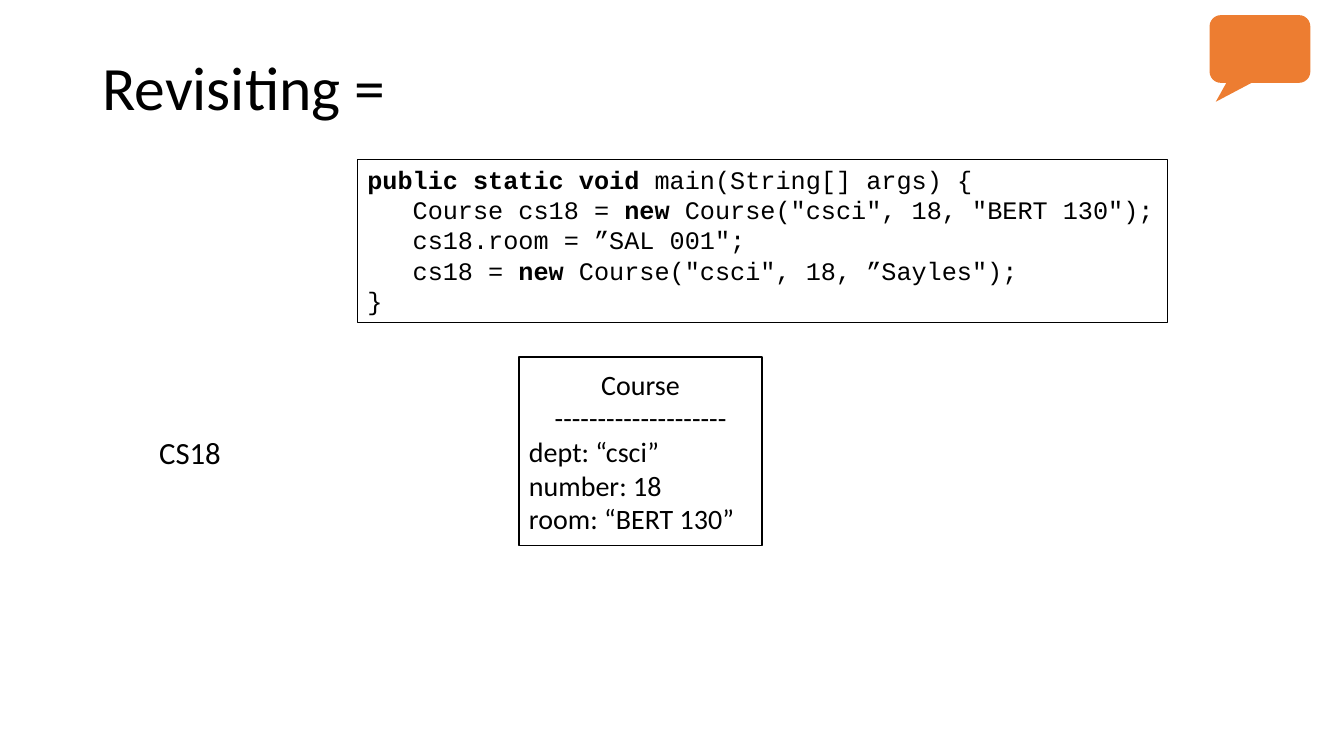
"""Builds a slide on reassigning an object variable in Java."""
from dataclasses import dataclass

from pptx import Presentation
from pptx.dml.color import RGBColor
from pptx.enum.shapes import MSO_SHAPE as Shape
from pptx.enum.text import MSO_ANCHOR as Anchor, PP_ALIGN as Align
from pptx.util import Pt


@dataclass(frozen=True)
class Theme:
    """Colours, fonts and type sizes of the slide."""
    ink: RGBColor = RGBColor(0, 0, 0)
    paper: RGBColor = RGBColor(255, 255, 255)
    accent: RGBColor = RGBColor(0xED, 0x7D, 0x31)
    body_font: str = "Calibri"
    code_font: str = "Courier New"
    title_size: int = 44
    variable_size: int = 22
    object_size: int = 20
    code_size: int = 18


class SlideBuilder:
    """Draws styled elements on one slide."""

    def __init__(self, slide, theme):
        self.slide = slide
        self.theme = theme

    def style(self, paragraph, size, font, align=Align.LEFT):
        """Sets the type and alignment of a paragraph."""
        paragraph.alignment = align
        paragraph.font.size = Pt(size)
        paragraph.font.name = font
        paragraph.font.color.rgb = self.theme.ink

    def label(self, text, box, size, anchor=Anchor.TOP, wrap=True):
        """Adds a single-line text box."""
        frame = self.slide.shapes.add_textbox(*map(Pt, box)).text_frame
        frame.word_wrap = wrap
        frame.vertical_anchor = anchor
        frame.text = text
        self.style(frame.paragraphs[0], size, self.theme.body_font)
        return frame

    def shape(self, kind, box, fill=None, line=None):
        """Adds a preset shape with an optional fill and outline width."""
        shape = self.slide.shapes.add_shape(kind, *map(Pt, box))
        shape.shadow.inherit = False
        if fill is None:
            shape.fill.background()
        else:
            shape.fill.solid()
            shape.fill.fore_color.rgb = fill
        if line is None:
            shape.line.fill.background()
        else:
            shape.line.color.rgb = self.theme.ink
            shape.line.width = Pt(line)
        return shape

    def code(self, lines, box):
        """Adds a code listing from (indent, [(text, bold), ...]) lines."""
        frame = self.shape(Shape.RECTANGLE, box, line=0.75).text_frame
        frame.word_wrap = True
        frame.vertical_anchor = Anchor.TOP
        for number, (indent, pieces) in enumerate(lines):
            paragraph = frame.add_paragraph() if number else frame.paragraphs[0]
            self.style(paragraph, self.theme.code_size, self.theme.code_font)
            properties = paragraph._p.get_or_add_pPr()
            properties.set("marL", str(Pt(indent)))
            properties.set("indent", "0")
            for text, bold in pieces:
                run = paragraph.add_run()
                run.text = text
                run.font.bold = bold

    def object_card(self, heading, fields, box):
        """Adds an object box with a centred heading above its fields."""
        card = self.shape(Shape.RECTANGLE, box, self.theme.paper, 1)
        frame = card.text_frame
        frame.word_wrap = True
        frame.vertical_anchor = Anchor.MIDDLE
        frame.text = "\n".join(heading + fields)
        for number, paragraph in enumerate(frame.paragraphs):
            align = Align.CENTER if number < len(heading) else Align.LEFT
            self.style(paragraph, self.theme.object_size, self.theme.body_font, align)

    def callout(self, box, adjustments):
        """Adds a filled speech bubble."""
        bubble = self.shape(Shape.ROUNDED_RECTANGULAR_CALLOUT, box, self.theme.accent)
        for number, value in enumerate(adjustments):
            bubble.adjustments[number] = value


def main():
    """Builds and saves the presentation."""
    deck = Presentation()
    deck.slide_width, deck.slide_height = Pt(960), Pt(540)
    theme = Theme()
    builder = SlideBuilder(deck.slides.add_slide(deck.slide_layouts[6]), theme)

    title = builder.label("Revisiting =", (66, 28.8, 828, 71.3), theme.title_size, Anchor.MIDDLE)
    title.paragraphs[0].line_spacing = 0.9

    step = 32.4
    builder.code([
        (0, [("public static void", True), (" main(String[] args) {", False)]),
        (step, [("Course cs18 = ", False), ("new", True),
                (' Course("csci", 18, "BERT 130");', False)]),
        (step, [('cs18.room = ”SAL 001";', False)]),
        (step, [("cs18 = ", False), ("new", True),
                (' Course("csci", 18, ”Sayles");', False)]),
        (0, [("}", False)]),
    ], (255.3, 113.8, 578.5, 116.3))

    builder.callout((864, 10.8, 72, 48.4), (-0.438, 0.779, 0.167))
    builder.object_card(
        ["Course", "-" * 20],
        ["dept: “csci”", "number: 18", "room: “BERT 130”"],
        (370.8, 255, 173.6, 134.8),
    )
    builder.label("CS18", (106.6, 306, 59, 33.8), theme.variable_size, wrap=False)
    deck.save("out.pptx")


if __name__ == "__main__":
    main()
